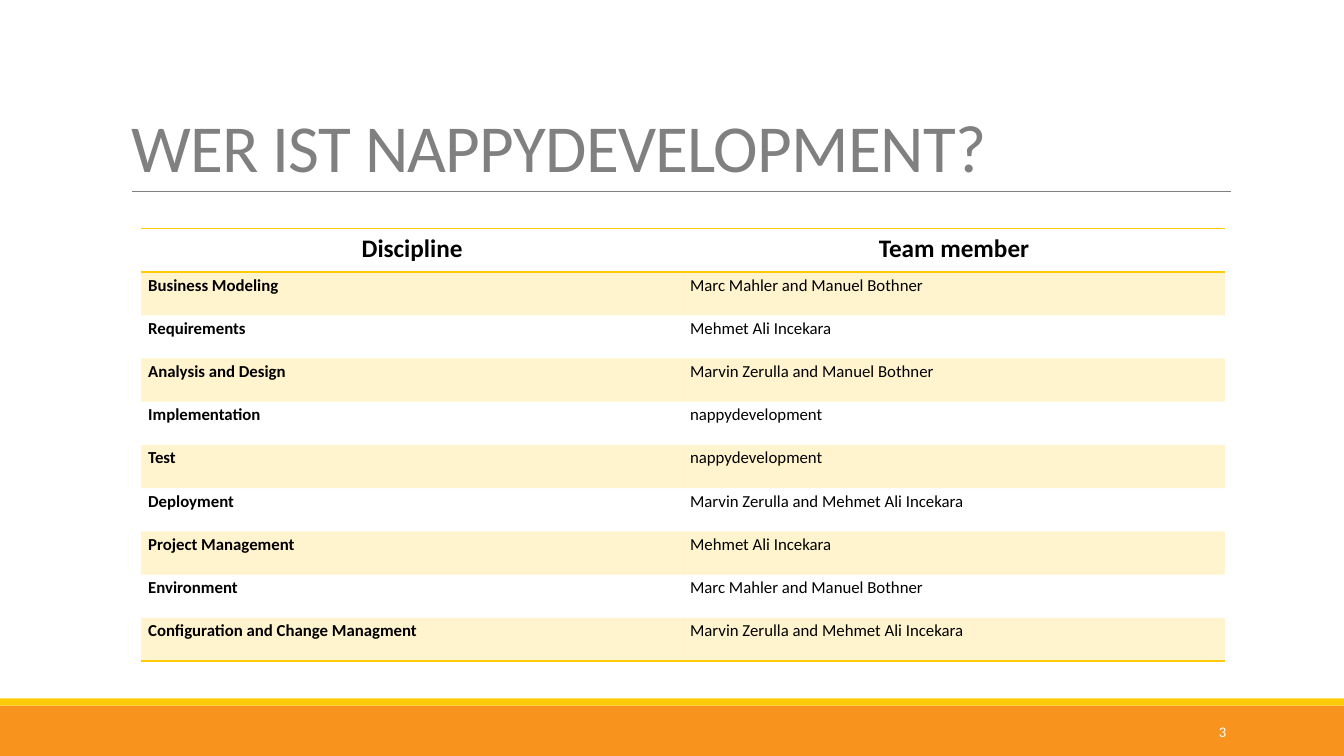
from lxml.etree import SubElement
from pptx import Presentation
from pptx.dml.color import RGBColor
from pptx.enum.shapes import MSO_CONNECTOR, MSO_SHAPE
from pptx.enum.text import MSO_ANCHOR, MSO_AUTO_SIZE, PP_ALIGN
from pptx.oxml import parse_xml
from pptx.oxml.ns import nsdecls, qn
from pptx.util import Inches, Pt

TITLE = "WER IST NAPPYDEVELOPMENT?"
NUMBER = "3"
ROWS = [
    ("Discipline", "Team member"),
    ("Business Modeling", "Marc Mahler and Manuel Bothner"),
    ("Requirements", "Mehmet Ali Incekara"),
    ("Analysis and Design", "Marvin Zerulla and Manuel Bothner"),
    ("Implementation", "nappydevelopment"),
    ("Test", "nappydevelopment"),
    ("Deployment", "Marvin Zerulla and Mehmet Ali Incekara"),
    ("Project Management", "Mehmet Ali Incekara"),
    ("Environment", "Marc Mahler and Manuel Bothner"),
    ("Configuration and Change Managment", "Marvin Zerulla and Mehmet Ali Incekara"),
]
WIDTH, HEIGHT = 13.33, 7.5
FOOT, STRIPE = 0.5, 0.07
TABLE = (1.4, 2.27, 10.75, 4.29)
PLAIN_STYLE = "{2D5ABB26-0587-4C30-8999-92F81FD0307C}"
FONT = "Calibri"
ORANGE = RGBColor(0xF8, 0x93, 0x1D)
YELLOW = RGBColor(0xFF, 0xCA, 0x08)
GREY = RGBColor(0x80, 0x80, 0x80)
BLACK = RGBColor(0, 0, 0)
WHITE = RGBColor(0xFF, 0xFF, 0xFF)


def inches(*sizes):
    return [Inches(size) for size in sizes]


def add_run(para, text, size, color, bold=False):
    run = para.add_run()
    run.text = text
    font = run.font
    font.name, font.size, font.bold = FONT, Pt(size), bold
    font.color.rgb = color
    return run


def add_band(slide, top, height, color):
    band = slide.shapes.add_shape(
        MSO_SHAPE.RECTANGLE, *inches(0, top, WIDTH, height))
    band.shadow.inherit = False
    band.fill.solid()
    band.fill.fore_color.rgb = color
    band.line.fill.background()


def add_rule(slide):
    rule = slide.shapes.add_connector(
        MSO_CONNECTOR.STRAIGHT, *inches(1.31, 1.9, 12.21, 1.9))
    rule.line.color.rgb = GREY
    rule.line.width = Pt(0.5)
    SubElement(rule._element.spPr, qn("a:effectLst"))


def add_title(slide):
    title = slide.shapes.title
    title.left, title.top, title.width, title.height = inches(1.2, 0.31, 11, 1.59)
    frame = title.text_frame
    frame.auto_size = MSO_AUTO_SIZE.NONE
    frame.vertical_anchor = MSO_ANCHOR.BOTTOM
    para = frame.paragraphs[0]
    para.alignment, para.line_spacing = PP_ALIGN.LEFT, 0.85
    run = add_run(para, TITLE, 48, GREY)
    run.font._element.set("spc", "-50")


def add_border(cell, side):
    cell._tc.get_or_add_tcPr().append(parse_xml(
        f'<a:{side} {nsdecls("a")} w="{Pt(1)}"><a:solidFill>'
        f'<a:srgbClr val="{YELLOW}"/></a:solidFill></a:{side}>'))


def tint(cell):
    cell.fill.solid()
    cell.fill.fore_color.rgb = YELLOW
    color = cell._tc.tcPr.find(qn("a:solidFill")).find(qn("a:srgbClr"))
    SubElement(color, qn("a:alpha"), val="20000")


def fill_cell(cell, text, row, col):
    head = row == 0
    cell.margin_left = cell.margin_right = Inches(0.07)
    cell.margin_top = cell.margin_bottom = 0
    para = cell.text_frame.paragraphs[0]
    para.line_spacing = 1.15
    para.alignment = PP_ALIGN.CENTER if head else PP_ALIGN.LEFT
    add_run(para, text, 18 if head else 12, BLACK, head or col == 0)
    if head:
        add_border(cell, "lnT")
    if head or row == len(ROWS) - 1:
        add_border(cell, "lnB")
    if row % 2:
        tint(cell)
    else:
        cell.fill.background()


def add_team(slide):
    table = slide.shapes.add_table(len(ROWS), 2, *inches(*TABLE)).table
    table.first_row = table.horz_banding = False
    table._tbl.tblPr.find(qn("a:tableStyleId")).text = PLAIN_STYLE
    for row, texts in enumerate(ROWS):
        for col, text in enumerate(texts):
            fill_cell(table.cell(row, col), text, row, col)


def add_number(slide):
    frame = slide.shapes.add_textbox(*inches(10.83, 7.06, 1.43, 0.4)).text_frame
    frame.word_wrap = True
    frame.vertical_anchor = MSO_ANCHOR.MIDDLE
    para = frame.paragraphs[0]
    para.alignment = PP_ALIGN.RIGHT
    add_run(para, NUMBER, 10.5, WHITE)


def main():
    deck = Presentation()
    deck.slide_width, deck.slide_height = inches(WIDTH, HEIGHT)
    slide = deck.slides.add_slide(deck.slide_layouts.get_by_name("Title Only"))
    add_band(slide, HEIGHT - FOOT, FOOT, ORANGE)
    add_band(slide, HEIGHT - FOOT - STRIPE, STRIPE, YELLOW)
    add_rule(slide)
    add_title(slide)
    add_team(slide)
    add_number(slide)
    deck.save("out.pptx")


if __name__ == "__main__":
    main()
